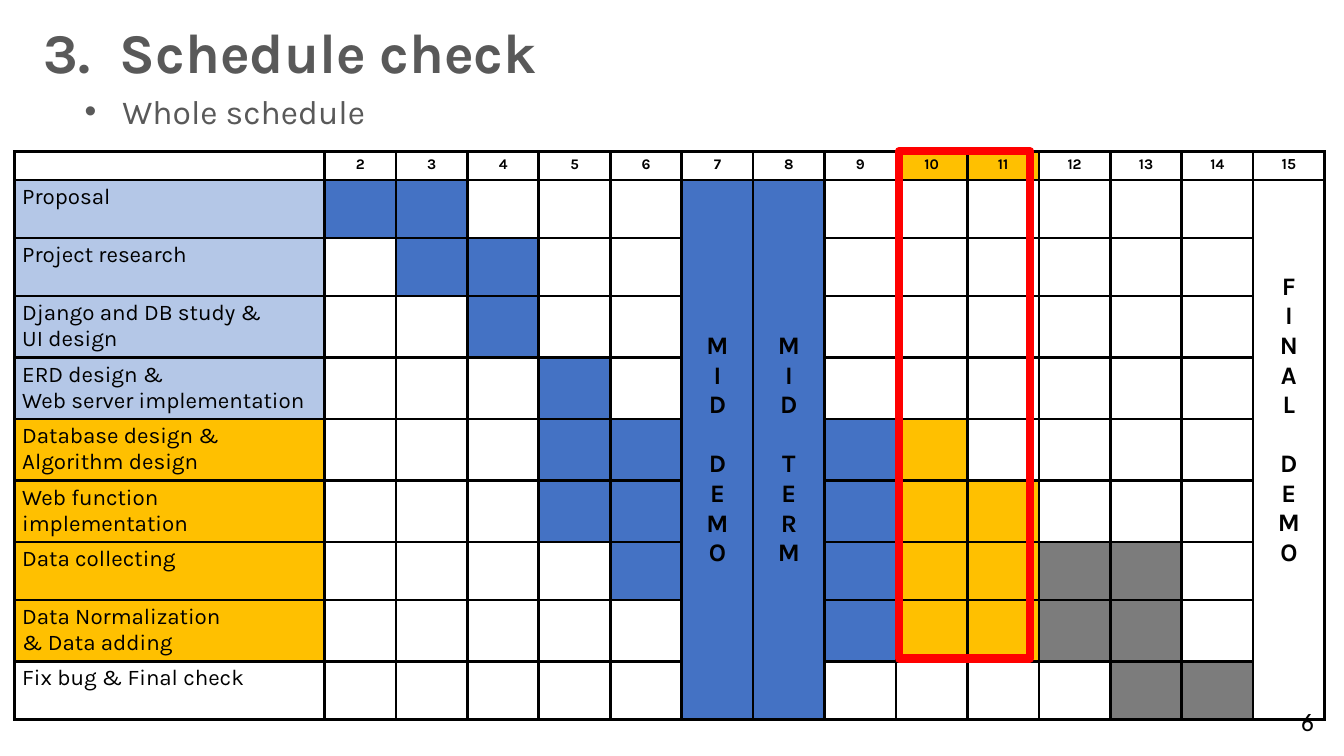
"""Builds the schedule check slide with its week-by-week task table."""
from lxml.etree import SubElement
from pptx import Presentation
from pptx.dml.color import RGBColor
from pptx.enum.shapes import MSO_SHAPE
from pptx.enum.text import MSO_ANCHOR, MSO_AUTO_SIZE, PP_ALIGN
from pptx.oxml.ns import qn
from pptx.util import Cm, Pt

BLACK = RGBColor(0x00, 0x00, 0x00)
WHITE = RGBColor(0xFF, 0xFF, 0xFF)
DARK_GRAY = RGBColor(0x59, 0x59, 0x59)
GRAY = RGBColor(0x7C, 0x7C, 0x7C)
BLUE = RGBColor(0x44, 0x72, 0xC4)
LIGHT_BLUE = RGBColor(0xB4, 0xC7, 0xE7)
YELLOW = RGBColor(0xFF, 0xC0, 0x00)
RED = RGBColor(0xFF, 0x00, 0x00)

FILLS = {".": WHITE, "B": BLUE, "L": LIGHT_BLUE, "Y": YELLOW, "G": GRAY}
FIRST_WEEK, LAST_WEEK = 2, 15
THICK_AFTER = (4, 10)
HEADER_FILLS = ".........YY...."
TASKS = [
    (["Proposal"], "LBB...BB......."),
    (["Project research"], "L.BB..BB......."),
    (["Django and DB study &", "UI design"], "L..B..BB......."),
    (["ERD design &", "Web server implementation"], "L...B.BB......."),
    (["Database design & Algorithm design"], "Y...BBBBBY....."),
    (["Web function implementation"], "Y...BBBBBYY...."),
    (["Data collecting"], "Y....BBBBYYGG.."),
    (["Data Normalization", "& Data adding"], "Y.....BBBYYGG.."),
    (["Fix bug & Final check"], "......BB....GG."),
]
MILESTONES = {7: ("MID", "DEMO"), 8: ("MID", "TERM"), 15: ("FINAL", "DEMO")}
ROW_HEIGHTS = [0.72, 1.46, 1.46, 1.55, 1.55, 1.55, 1.55, 1.46, 1.55, 1.46]


def add_text(para, text, size, color=BLACK, bold=False, font="Karla"):
    """Add one formatted run to a paragraph."""
    span = para.add_run()
    span.text = text
    span.font.name = font
    span.font.size = Pt(size)
    span.font.bold = bold
    span.font.color.rgb = color


def place(shape, left, top, width, height):
    """Move and size a shape, in centimetres."""
    shape.left, shape.top = Cm(left), Cm(top)
    shape.width, shape.height = Cm(width), Cm(height)


def set_hanging(para, margin, hang):
    """Give a paragraph a left margin with a hanging first line, in centimetres."""
    props = para._p.get_or_add_pPr()
    props.set("marL", str(Cm(margin)))
    props.set("indent", str(-Cm(hang)))


def fill_placeholder(holder, area, text, size, hang, bold=False):
    """Place a template placeholder and write its single line."""
    place(holder, *area)
    frame = holder.text_frame
    frame.auto_size = MSO_AUTO_SIZE.NONE
    para = frame.paragraphs[0]
    para.alignment = PP_ALIGN.LEFT
    para.space_before = Pt(0)
    set_hanging(para, hang, hang)
    add_text(para, text, size, DARK_GRAY, bold)


def style_cell(cell, color, left_width, right_width):
    """Set the borders, fill and insets of a table cell."""
    props = cell._tc.get_or_add_tcPr()
    widths = {"L": left_width, "R": right_width, "T": 1.98, "B": 1.98}
    for side, width in widths.items():
        line = SubElement(props, qn(f"a:ln{side}"), w=str(Pt(width)))
        solid = SubElement(line, qn("a:solidFill"))
        SubElement(solid, qn("a:srgbClr"), val=str(BLACK))
    cell.fill.solid()
    cell.fill.fore_color.rgb = color
    cell.margin_left = cell.margin_right = Cm(0.2)
    cell.margin_top = cell.margin_bottom = Cm(0.1)


def write_lines(cell, lines, size, bold=False, align=PP_ALIGN.LEFT):
    """Write each line as a paragraph of a cell and return the paragraphs."""
    frame = cell.text_frame
    paras = [frame.paragraphs[0]] + [frame.add_paragraph() for _ in lines[1:]]
    for para, line in zip(paras, lines):
        para.alignment = align
        add_text(para, line, size, bold=bold)
    return paras


def add_milestone(grid, week, words):
    """Merge a week's column below the header and spell its words downwards."""
    column = week - FIRST_WEEK + 1
    cell = grid.cell(1, column)
    cell.merge(grid.cell(len(TASKS), column))
    paras = write_lines(cell, list("".join(words)), 18, True, PP_ALIGN.CENTER)
    paras[len(words[0])].space_before = Pt(21)
    if week == LAST_WEEK:
        cell.margin_top = Cm(2.32)
    else:
        cell.vertical_anchor = MSO_ANCHOR.MIDDLE


def add_schedule(page):
    """Add the table of tasks by week."""
    weeks = range(FIRST_WEEK, LAST_WEEK + 1)
    frame = page.shapes.add_table(len(TASKS) + 1, len(weeks) + 1, Cm(0.36),
                                  Cm(3.82), Cm(33.02), Cm(sum(ROW_HEIGHTS)))
    grid = frame.table
    grid.first_row = grid.horz_banding = False
    for column, track in enumerate(grid.columns):
        track.width = Cm(1.8 if column else 7.82)
    for track, height in zip(grid.rows, ROW_HEIGHTS):
        track.height = Cm(height)

    thick = [week - FIRST_WEEK + 1 for week in THICK_AFTER]
    for row, codes in enumerate([HEADER_FILLS] + [codes for _, codes in TASKS]):
        for column, code in enumerate(codes):
            left = 2.55 if column - 1 in thick else 1.98
            right = 2.55 if column in thick else 1.98
            style_cell(grid.cell(row, column), FILLS[code], left, right)

    corner = grid.cell(0, 0).text_frame.paragraphs[0]
    SubElement(corner._p, qn("a:endParaRPr"), sz="1050")
    for column, week in enumerate(weeks, 1):
        size = 11 if week == LAST_WEEK else 10.5
        write_lines(grid.cell(0, column), [str(week)], size, True, PP_ALIGN.CENTER)
    for row, (lines, _) in enumerate(TASKS, 1):
        write_lines(grid.cell(row, 0), lines, 16)
    for week, words in MILESTONES.items():
        add_milestone(grid, week, words)


def add_page_number(page, number):
    """Add the page number in the lower right corner."""
    box = page.shapes.add_textbox(Cm(32.54), Cm(17.68), Cm(0.84), Cm(1.02))
    box.text_frame.word_wrap = False
    add_text(box.text_frame.paragraphs[0], number, 18, font="Calibri")


def add_highlight(page):
    """Outline the current weeks in red."""
    frame = page.shapes.add_shape(MSO_SHAPE.RECTANGLE, Cm(22.66), Cm(3.81),
                                  Cm(3.3), Cm(12.78))
    frame.shadow.inherit = False
    frame.fill.background()
    frame.line.color.rgb = RED
    frame.line.width = Pt(6)


def main():
    """Build and save the deck."""
    deck = Presentation()
    deck.slide_width, deck.slide_height = Cm(33.87), Cm(19.05)
    page = deck.slides.add_slide(deck.slide_layouts[1])
    fill_placeholder(page.shapes.title, (0.84, 0.3, 15.54, 1.96),
                     "3.\tSchedule check", 40, 1.93, bold=True)
    fill_placeholder(page.placeholders[1], (1.88, 2.16, 31.9, 1.27),
                     "Whole schedule", 24, 0.95)
    add_schedule(page)
    add_page_number(page, "6")
    add_highlight(page)
    deck.save("out.pptx")


if __name__ == "__main__":
    main()
